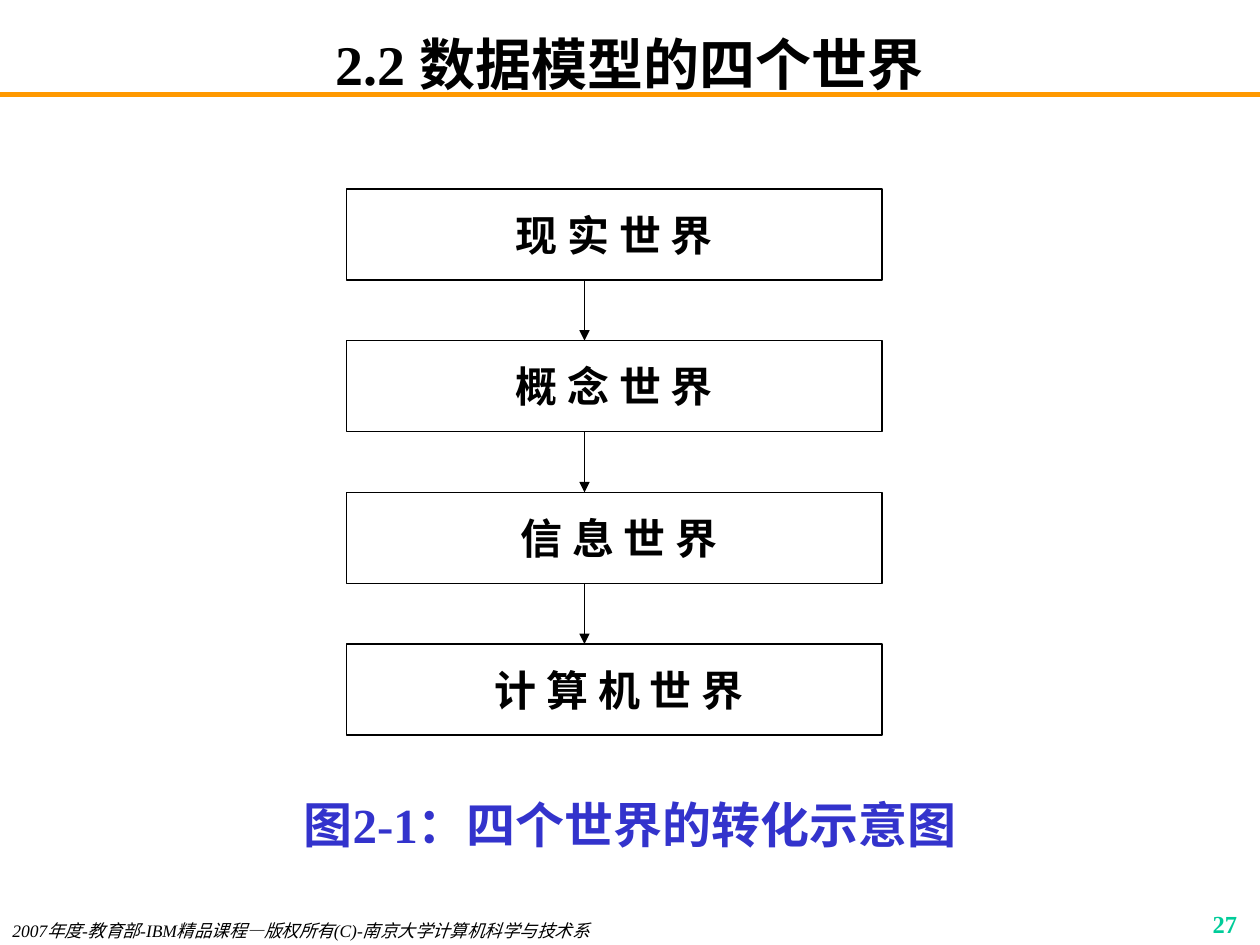
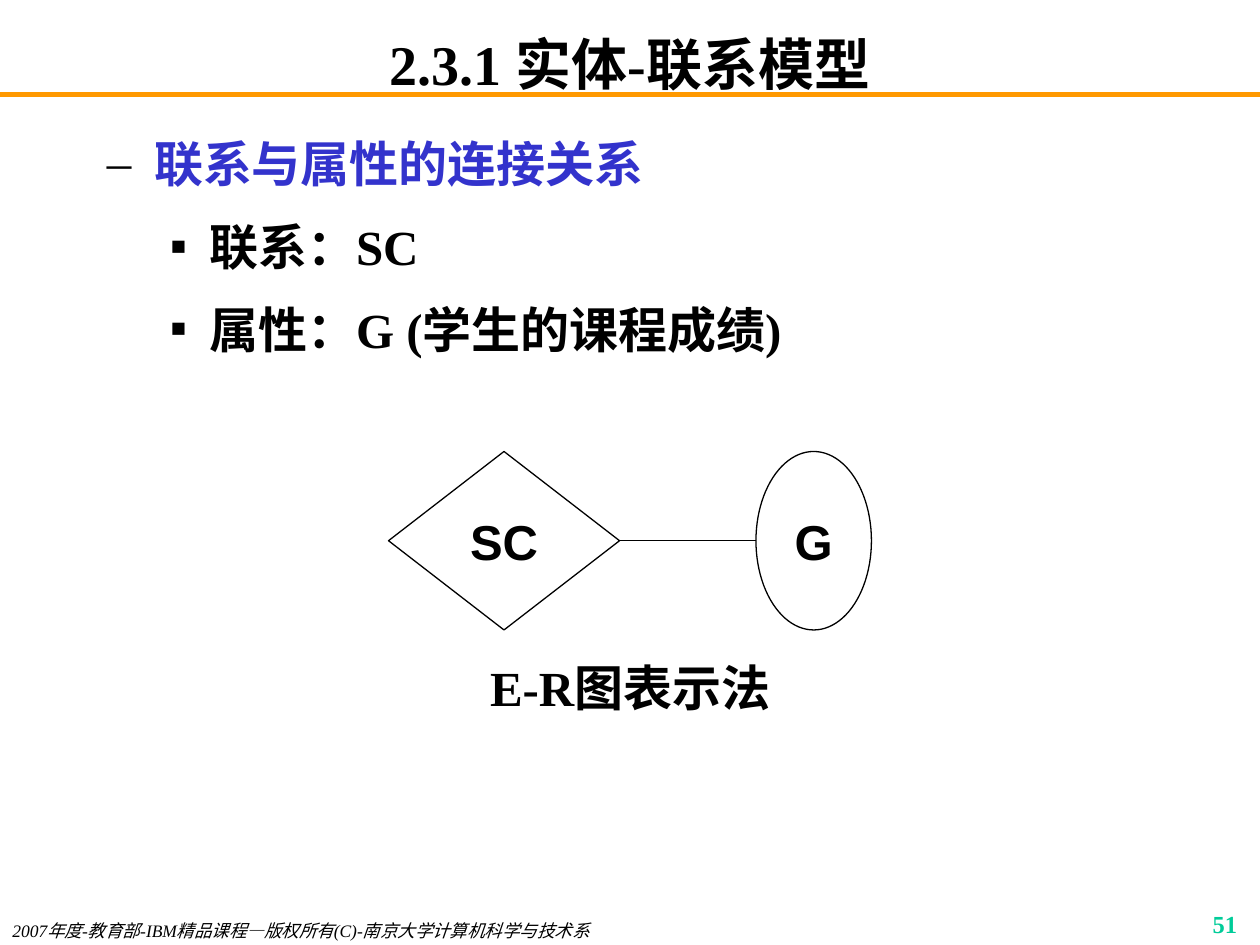
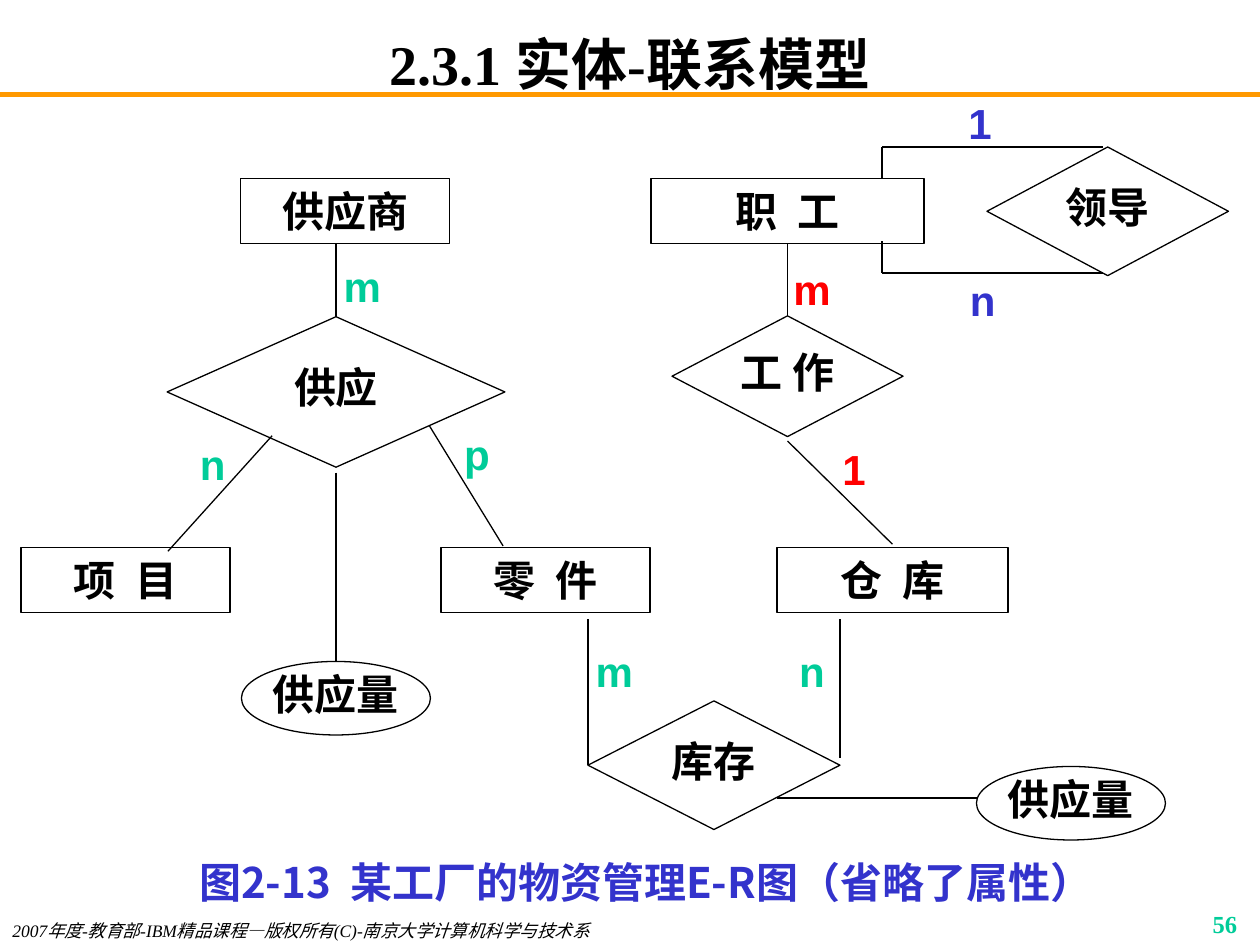
import pptx
import pptx.dml.color
import pptx.enum.shapes
import pptx.enum.text
import pptx.oxml.ns
import pptx.util
import lxml.etree

Pt = pptx.util.Pt
SHAPE = pptx.enum.shapes.MSO_SHAPE
ALIGN = pptx.enum.text.PP_ALIGN
ANCHOR = pptx.enum.text.MSO_ANCHOR
RECT, DIAMOND, OVAL = SHAPE.RECTANGLE, SHAPE.DIAMOND, SHAPE.OVAL
TOP, LEFT, BOTTOM, RIGHT = range(4)

W, H = 720, 540
BLACK, WHITE, BLUE = "000000", "FFFFFF", "3333CC"
GREEN, RED, ORANGE = "00CC99", "FF0000", "FF9900"
SERIF, SANS, CJK = "Times New Roman", "Arial", "Noto Sans CJK SC"
FOOTER = "2007年度-教育部-IBM精品课程—版权所有(C)-南京大学计算机科学与技术系"


def rgb(value):
    return pptx.dml.color.RGBColor.from_string(value)


def add_xml(parent, tag, **attrs):
    return lxml.etree.SubElement(parent, pptx.oxml.ns.qn(tag), **attrs)


def write(p, text, size=24, font=SERIF, color=BLACK, bold=True, italic=False,
          align=ALIGN.CENTER, spacing=None):
    p.alignment = align
    if spacing:
        p.line_spacing = spacing
    r = p.add_run()
    r.text = text
    f = r.font
    f.size, f.name, f.bold, f.italic = Pt(size), font, bold, italic
    f.color.rgb = rgb(color)
    add_xml(r.font._element, "a:ea", typeface=CJK)


def frame(sp, inset, anchor):
    tf = sp.text_frame
    tf.word_wrap = True
    tf.vertical_anchor = anchor
    tf.margin_left = tf.margin_right = Pt(inset[0])
    tf.margin_top = tf.margin_bottom = Pt(inset[1])
    return tf


def textbox(s, box, text=None, inset=(7.2, 3.6), anchor=ANCHOR.TOP, **fmt):
    tf = frame(s.shapes.add_textbox(*map(Pt, box)), inset, anchor)
    if text:
        write(tf.paragraphs[0], text, **fmt)
    return tf


def node(s, kind, box, text, fill=None, inset=(0, 0), **fmt):
    """Outlined shape with a centred label."""
    sp = s.shapes.add_shape(kind, *map(Pt, box))
    sp.shadow.inherit = False
    if fill:
        sp.fill.solid()
        sp.fill.fore_color.rgb = rgb(fill)
    else:
        sp.fill.background()
    sp.line.color.rgb = rgb(BLACK)
    sp.line.width = Pt(0.75)
    write(frame(sp, inset, ANCHOR.MIDDLE).paragraphs[0], text, **fmt)
    return sp


def link(s, start, end, color=BLACK, width=0.75, arrow=False, begin=None, finish=None):
    """Straight line; begin and finish are (shape, side) pairs to join."""
    c = s.shapes.add_connector(pptx.enum.shapes.MSO_CONNECTOR.STRAIGHT,
                               *map(Pt, (*start, *end)))
    c.line.color.rgb = rgb(color)
    c.line.width = Pt(width)
    if arrow:
        add_xml(c.line._get_or_add_ln(), "a:tailEnd", type="triangle")
    add_xml(c._element.spPr, "a:effectLst")
    if begin:
        c.begin_connect(*begin)
    if finish:
        c.end_connect(*finish)


def new_slide(prs, title, number):
    s = prs.slides.add_slide(prs.slide_layouts[6])
    link(s, (0, 54), (W, 54), color=ORANGE, width=3)
    textbox(s, (54, 18, 612, 36), title, inset=(7.2, 0), anchor=ANCHOR.MIDDLE, size=32)
    textbox(s, (0, 522, 396, 18), FOOTER, size=10, bold=False, italic=True,
            align=ALIGN.LEFT)
    textbox(s, (564, 516, 150, 18), str(number), size=14, color=GREEN,
            align=ALIGN.RIGHT)
    return s


def world_chain(s, x, y, worlds):
    w, h, pitch, arrow_x = 306, 52, 86.67, x + 136
    for i, world in enumerate(worlds):
        top = y + i * pitch
        node(s, RECT, (x, top, w, h), world, fill=WHITE, inset=(7.2, 3.6))
        if i:
            link(s, (arrow_x, top - pitch + h), (arrow_x, top), arrow=True)


def bullets(s, box, items):
    """Items are (level, text, format)."""
    tf = textbox(s, box)
    for i, (level, text, fmt) in enumerate(items):
        p = tf.add_paragraph() if i else tf.paragraphs[0]
        indent, hang, mark = ((27, 27, "–"), (58.5, 22.5, "▪"))[level]
        p.level = level
        if i:
            p.space_before = Pt(7)
        write(p, text, size=28, align=ALIGN.LEFT, spacing=1.2, **fmt)
        pPr = p._p.get_or_add_pPr()
        pPr.set("marL", str(Pt(indent)))
        pPr.set("indent", str(-Pt(hang)))
        add_xml(add_xml(pPr, "a:buClr"), "a:srgbClr", val=BLACK)
        add_xml(pPr, "a:buFont", typeface=SERIF)
        add_xml(pPr, "a:buChar", char=mark)


def relation_attribute(s, x, y):
    fmt = dict(fill=WHITE, inset=(7.2, 3.6), size=28, font=SANS)
    sc = node(s, DIAMOND, (x, y, 132, 102), "SC", **fmt)
    node(s, OVAL, (x + 210, y, 66, 102), "G", **fmt)
    link(s, (x + 132, y + 51), (x + 210, y + 51), begin=(sc, RIGHT))
    textbox(s, (x - 20.5, y + 114, 317, 41), "E-R图表示法", size=28)


class Region:
    """Part of an E-R diagram, drawn relative to its top left corner."""

    def __init__(self, s, x, y):
        self.s, self.x, self.y = s, x, y

    def at(self, x, y):
        return self.x + x, self.y + y

    def entity(self, x, y, text, w=119.5):
        return node(self.s, RECT, (*self.at(x, y), w, 37), text, font=SANS)

    def relation(self, x, y, w, h, text):
        return node(self.s, DIAMOND, (*self.at(x, y), w, h), text, font=SANS, spacing=0.8)

    def attribute(self, x, y, text):
        return node(self.s, OVAL, (*self.at(x, y), 108, 42), text, font=SANS, spacing=0.8)

    def label(self, x, y, text, color):
        textbox(self.s, (*self.at(x, y), 40, 32), text, anchor=ANCHOR.MIDDLE,
                font=SANS, color=color)

    def line(self, start, end, **joins):
        link(self.s, self.at(*start), self.at(*end), **joins)


def supply_region(s, x, y):
    g = Region(s, x, y)
    g.entity(125.5, 0, "供应商")
    g.entity(0, 211, "项  目")
    g.entity(240, 211, "零  件")
    supply = g.relation(83.5, 79, 193, 86, "供应")
    amount = g.attribute(126, 276, "供应量")
    g.line((180, 37), (180, 79), finish=(supply, TOP))
    g.line((180, 168), (180, 276), finish=(amount, TOP))
    g.line((143.5, 147), (84, 213))
    g.line((233.5, 141.5), (275.5, 210))
    g.label(175, 45, "m", GREEN)
    g.label(89.5, 147, "n", GREEN)
    g.label(240.5, 141.5, "p", GREEN)


def work_region(s, x, y):
    g = Region(s, x, y)
    staff = g.entity(0, 0, "职  工", w=156)
    work = g.relation(12, 78.5, 132, 69, "工 作")
    g.line((78, 37), (78, 78.5), begin=(staff, BOTTOM), finish=(work, TOP))
    g.line((78, 150), (138, 209))
    g.label(72, 47, "m", RED)
    g.label(96, 150, "1", RED)


def stock_region(s, x, y):
    g = Region(s, x, y)
    g.entity(108, 0, "仓  库", w=132)
    stock = g.relation(0, 87.5, 144, 73.5, "库存")
    g.attribute(222, 125, "供应量")
    g.line((0, 41), (0, 124), finish=(stock, LEFT))
    g.line((144, 41), (144, 120))
    g.line((108, 143), (222, 143))
    g.label(-5, 54, "m", GREEN)
    g.label(108, 54, "n", GREEN)


def leader_region(s, x, y):
    g = Region(s, x, y)
    g.relation(60, 0, 138, 73.5, "领导")
    for level, staff_edge in ((0, 18), (72, 54)):
        g.line((126, level), (0, level))
        g.line((0, staff_edge), (0, level))
    g.label(36, -30, "1", BLUE)
    g.label(37.5, 71, "n", BLUE)


def main():
    prs = pptx.Presentation()
    prs.slide_width, prs.slide_height = Pt(W), Pt(H)

    s = new_slide(prs, "2.2 数据模型的四个世界", 27)
    world_chain(s, 198, 108, ["现 实 世 界", "概 念 世 界", " 信 息 世 界", " 计 算 机 世 界"])
    textbox(s, (54, 444, 612, 60), "图2-1：四个世界的转化示意图", size=28, color=BLUE,
            spacing=1.2)

    er_title = "2.3.1 实体-联系模型"
    s = new_slide(prs, er_title, 51)
    bullets(s, (54, 66, 612, 158), [
        (0, "联系与属性的连接关系", dict(font=CJK, color=BLUE)),
        (1, "联系：SC", {}),
        (1, "属性：G (学生的课程成绩)", {}),
    ])
    relation_attribute(s, 222, 258)

    s = new_slide(prs, er_title, 56)
    supply_region(s, 12, 102)
    work_region(s, 372, 102)
    stock_region(s, 336, 313)
    leader_region(s, 504, 84)
    textbox(s, (84, 486, 570, 36), "图2-13  某工厂的物资管理E-R图（省略了属性）",
            font=CJK, color=BLUE)

    prs.save("out.pptx")


if __name__ == "__main__":
    main()
